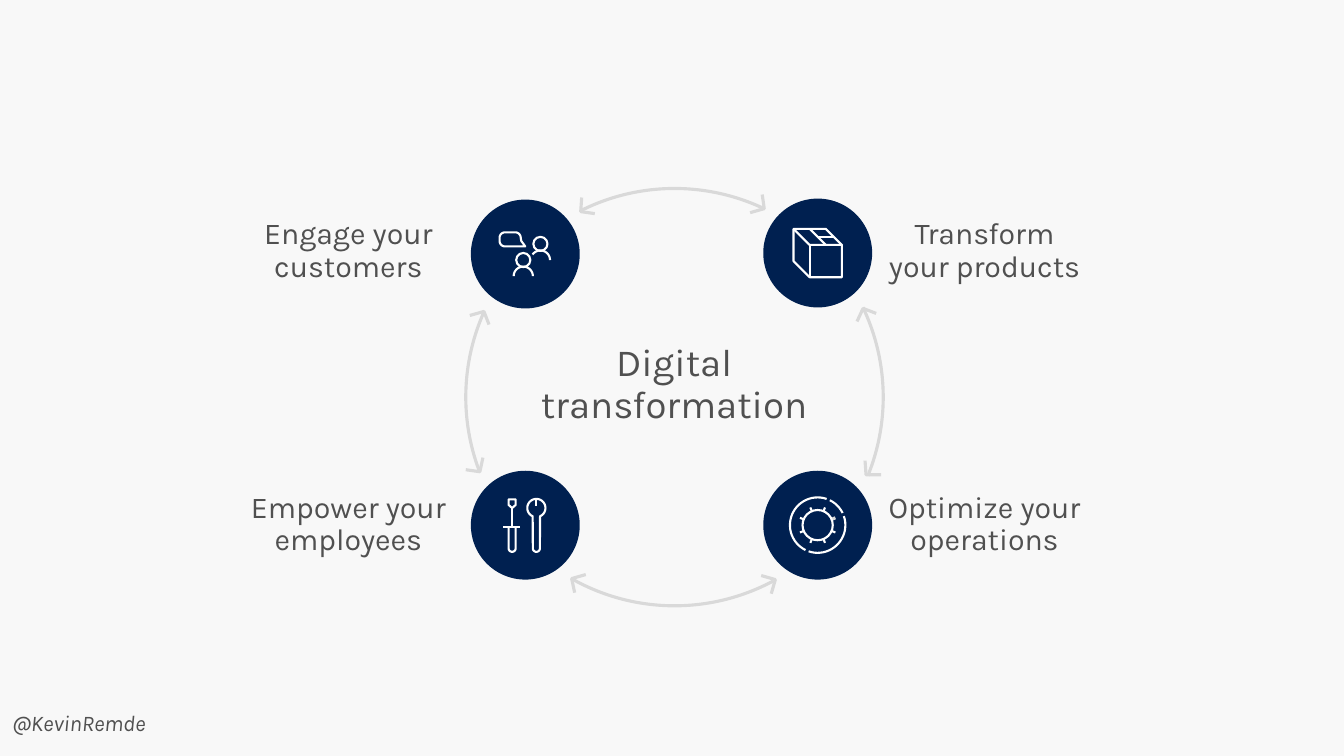
import math

import pptx
import pptx.dml.color
import pptx.enum.shapes
import pptx.enum.text
import pptx.oxml
import pptx.util

PX = 9144
PAPER, NAVY, WHITE, GREY, INK = "F8F8F8", "002050", "FFFFFF", "D9D9D9", "505050"
SHAPE = pptx.enum.shapes.MSO_SHAPE
ANCHOR = pptx.enum.text.MSO_ANCHOR
ALIGN = pptx.enum.text.PP_ALIGN
AUTO = pptx.enum.text.MSO_AUTO_SIZE
EMPTY_EFFECTS = '<a:effectLst xmlns:a="http://schemas.openxmlformats.org/drawingml/2006/main"/>'


def emu(n):
    """Turn px into EMU."""
    return pptx.util.Emu(round(n * PX))


def color(hex_code):
    """Turn a hex string into a colour."""
    return pptx.dml.color.RGBColor.from_string(hex_code)


def style(sp, fill=None, line=None, weight=1.5):
    """Set the fill and outline of a shape, without a shadow."""
    sp.shadow.inherit = False
    if fill:
        sp.fill.solid()
        sp.fill.fore_color.rgb = color(fill)
    else:
        sp.fill.background()
    if line:
        sp.line.color.rgb = color(line)
        sp.line.width = pptx.util.Pt(weight)
    else:
        sp.line.fill.background()


def circle(shapes, cx, cy, radius, **look):
    """Draw a circle about a centre."""
    sp = shapes.add_shape(SHAPE.OVAL, emu(cx - radius), emu(cy - radius),
                          emu(2 * radius), emu(2 * radius))
    style(sp, **look)


def outline(shapes, x, y, points, closed=False, line=WHITE, weight=1.5):
    """Draw an unfilled outline through points measured from x, y."""
    pts = [(emu(x + dx), emu(y + dy)) for dx, dy in points]
    builder = shapes.build_freeform(*pts[0])
    builder.add_line_segments(pts[1:], close=closed)
    style(builder.convert_to_shape(), line=line, weight=weight)


def stroke(shapes, x, y, start, end, line=WHITE, weight=1.5):
    """Draw a straight line between points measured from x, y."""
    cn = shapes.add_connector(
        pptx.enum.shapes.MSO_CONNECTOR.STRAIGHT,
        emu(x + start[0]), emu(y + start[1]), emu(x + end[0]), emu(y + end[1]))
    cn.line.color.rgb = color(line)
    cn.line.width = pptx.util.Pt(weight)
    cn._element.spPr.append(pptx.oxml.parse_xml(EMPTY_EFFECTS))


def polar(cx, cy, radius, degrees):
    """Give the point at an angle on a circle."""
    a = math.radians(degrees)
    return cx + radius * math.cos(a), cy + radius * math.sin(a)


def arc(cx, cy, radius, start, end):
    """List points along an arc, angles running clockwise."""
    steps = max(6, abs(end - start) // 6)
    return [polar(cx, cy, radius, start + (end - start) * i / steps)
            for i in range(steps + 1)]


def write(sp, box, text, size, inset=(0, 0), align=ALIGN.CENTER,
          anchor=ANCHOR.MIDDLE, wrap=True, auto=AUTO.NONE, italic=False):
    """Place a text shape in its box and set its one paragraph."""
    sp.left, sp.top, sp.width, sp.height = map(emu, box)
    tf = sp.text_frame
    tf.text = text
    tf.word_wrap, tf.auto_size, tf.vertical_anchor = wrap, auto, anchor
    tf.margin_left = tf.margin_right = emu(inset[0])
    tf.margin_top = tf.margin_bottom = emu(inset[1])
    p = tf.paragraphs[0]
    p.alignment, p.line_spacing = align, 0.9
    p.font.name, p.font.size = "Karla", pptx.util.Pt(size)
    p.font.color.rgb = color(INK)
    p.font.italic = italic


def customers_icon(shapes, x, y):
    """Draw two people and a speech bubble."""
    for cx, cy, start in ((69, 44, 215), (52, 60, 180)):
        circle(shapes, x + cx, y + cy, 7, line=WHITE)
        outline(shapes, x, y, arc(cx, cy + 16, 9.5, start, 360))
    bubble = (arc(34, 41, 5.5, 90, 180) + arc(34, 38, 5.5, 180, 270)
              + arc(44, 38, 5.5, 270, 360) + [(50, 41), (54, 46.5)])
    outline(shapes, x, y, bubble, closed=True)


def tools_icon(shapes, x, y):
    """Draw a screwdriver and a wrench."""
    blade = [(37.5, 28.5), (44.5, 28.5), (44.5, 34), (41, 37), (37.5, 34)]
    outline(shapes, x, y, blade, closed=True)
    stroke(shapes, x, y, (41, 37), (41, 56))
    stroke(shapes, x, y, (32, 56), (49, 56))
    outline(shapes, x, y, [(44.5, 56)] + arc(41, 77, 3.5, 0, 180) + [(37.5, 56)])
    wrench = arc(65, 37, 9, 114, 426) + arc(65, 77, 3.5, 0, 180)
    outline(shapes, x, y, wrench, closed=True)
    stroke(shapes, x, y, (65, 28), (65, 35))


def gear_icon(shapes, x, y):
    """Draw a toothed wheel in a broken ring."""
    for start, end in ((116, 289), (296, 334), (-19, 109)):
        outline(shapes, x, y, arc(54, 54, 27.5, start, end))
    for i in range(8):
        angle = 22.5 + 45 * i
        look = {"line": GREY, "weight": 2.25} if i == 7 else {}
        stroke(shapes, x, y, polar(54, 54, 15, angle), polar(54, 54, 19, angle), **look)
    circle(shapes, x + 54, y + 54, 15, line=WHITE)


def box_icon(shapes, x, y):
    """Draw a parcel."""
    edge = [(78, 46), (62, 30), (30, 30), (30, 62), (46, 78), (78, 78)]
    outline(shapes, x, y, edge, closed=True)
    outline(shapes, x, y, [(78, 46), (46, 46), (30, 30)])
    for start, end in (((46, 46), (46, 78)), ((46, 30), (62, 46)), ((53, 38), (69, 38))):
        stroke(shapes, x, y, start, end)


def step(shapes, x, y, icon, label, label_x, label_y):
    """Draw one disc with its icon and label; x, y is the disc's corner."""
    circle(shapes, x + 54, y + 54, 70.5, fill=PAPER)
    circle(shapes, x + 54, y + 54, 54, fill=NAVY)
    icon(shapes, x, y)
    box = (label_x, label_y, 235, 97)
    write(shapes.add_textbox(0, 0, 0, 0), box, label, 21.6, inset=(20, 16))


def cycle(shapes, x, y):
    """Draw the ring, its four steps and the arrowheads."""
    circle(shapes, x + 207, y + 207, 207, line=GREY, weight=2.25)
    left, right, label_left, label_right = x + 5, x + 295, x - 234, x + 397
    top, bottom = y + 11, y + 280
    step(shapes, left, top, customers_icon, "Engage your customers", label_left, y + 14)
    step(shapes, left, bottom, tools_icon, "Empower your employees", label_left, y + 285)
    step(shapes, right, bottom, gear_icon, "Optimize your operations", label_right, y + 285)
    step(shapes, right, top - 1, box_icon, "Transform your products", label_right, y + 14)
    heads = (
        ((4, 126), (18, 122), (23, 135)), ((0, 279), (14, 281), (17, 267)),
        ((108, 401), (105, 387), (119, 383)), ((303, 402), (307, 388), (293, 384)),
        ((412, 284), (397, 284), (396, 270)), ((407, 124), (394, 119), (388, 132)),
        ((115, 9), (114, 23), (128, 25)), ((282, 24), (296, 20), (294, 6)))
    for head in heads:
        outline(shapes, x, y, head, line=GREY, weight=2.25)


def main():
    """Build and save the slide."""
    prs = pptx.Presentation()
    prs.slide_width, prs.slide_height = emu(1333), emu(750)
    s = prs.slides.add_slide(prs.slide_layouts[5])
    s.background.fill.solid()
    s.background.fill.fore_color.rgb = color(PAPER)
    write(s.shapes.title, (528, 338, 281, 88), "Digital transformation", 27.4)
    cycle(s.shapes, 462, 187)
    write(s.shapes.add_textbox(0, 0, 0, 0), (-8, 695, 181, 57), "@KevinRemde", 16,
          inset=(20, 16), align=ALIGN.LEFT, anchor=ANCHOR.TOP, wrap=False,
          auto=AUTO.SHAPE_TO_FIT_TEXT, italic=True)
    prs.save("out.pptx")


if __name__ == "__main__":
    main()
